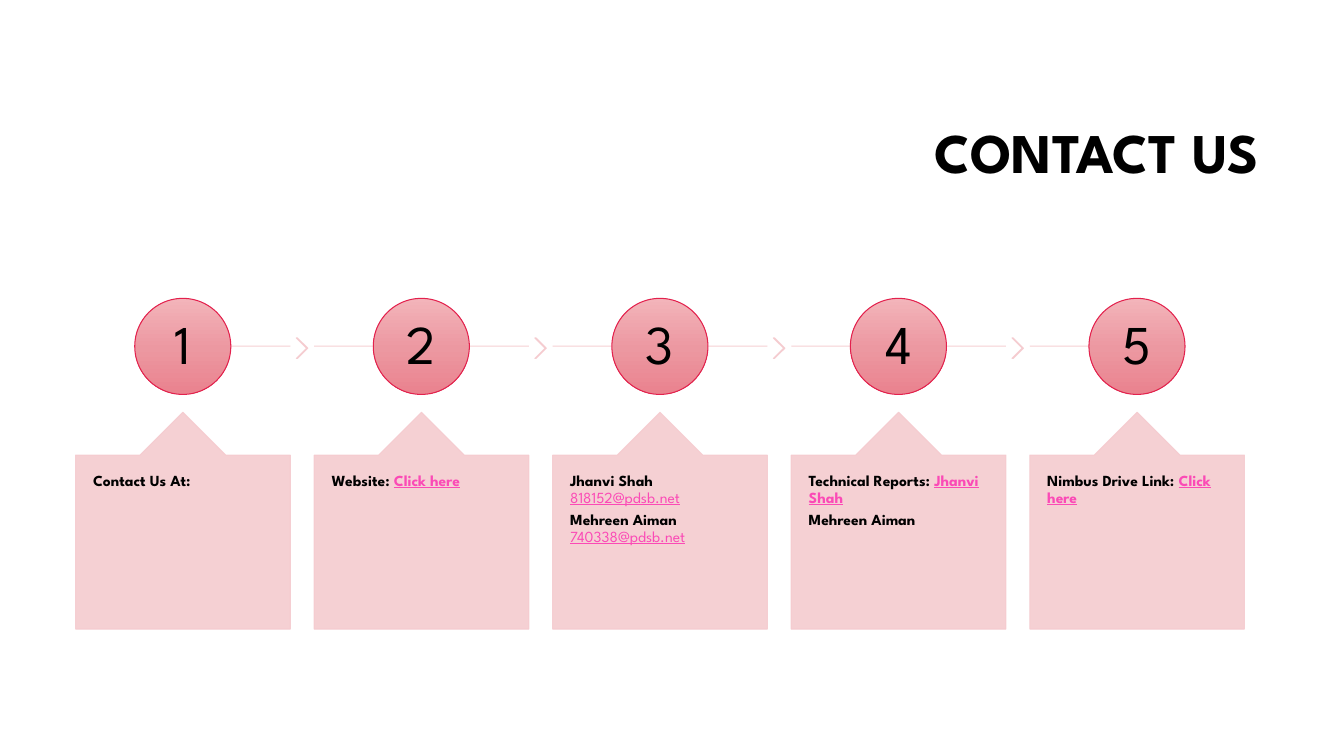
from copy import deepcopy
from dataclasses import dataclass

from lxml.etree import SubElement
from pptx import Presentation
from pptx.dml.color import RGBColor
from pptx.enum.shapes import MSO_CONNECTOR, MSO_SHAPE
from pptx.enum.text import MSO_ANCHOR, PP_ALIGN
from pptx.oxml.ns import qn
from pptx.shapes.autoshape import Shape
from pptx.slide import Slide
from pptx.text.text import TextFrame, _Paragraph
from pptx.util import Emu, Pt

PX = 3048  # 300 px to the inch
FONT = "League Spartan"
COLORS = {"text": "000000", "link": "FB4AB6", "blush": "F5CBCF", "ring": "E3214D"}
CIRCLE_GRADIENT = [(0, "F3B4BA"), (0.52, "EC98A1"), (1, "EA828E")]
BLUSH_ALPHA = "90000"

FIRST_CARD_LEFT, CARD_PITCH = 225, 710
CARD_TOP, CARD_WIDTH, CARD_HEIGHT = 1227, 639, 645
CIRCLE_TOP, CIRCLE_SIZE = 888, 286
TRACK_Y = 1030
FIRST_TRACK_INDENT = 354
CHEVRON_GAP, CHEVRON_TOP, CHEVRON_WIDTH, CHEVRON_HEIGHT = 18, 1006, 34, 61


@dataclass(frozen=True)
class Span:
    text: str
    link: bool = False
    bold: bool = True


@dataclass(frozen=True)
class Step:
    number: int
    lines: list[list[Span]]


STEPS = [
    Step(1, [[Span("Contact Us At:")]]),
    Step(2, [[Span("Website: "), Span("Click here", link=True)]]),
    Step(3, [
        [Span("Jhanvi Shah "), Span("818152@pdsb.net", link=True, bold=False)],
        [Span("Mehreen Aiman "), Span("740338@pdsb.net", link=True, bold=False)],
    ]),
    Step(4, [
        [Span("Technical Reports: "), Span("Jhanvi Shah", link=True)],
        [Span("Mehreen Aiman")],
    ]),
    Step(5, [[Span("Nimbus Drive Link: "), Span("Click here", link=True)]]),
]


def px(length: int) -> Emu:
    return Emu(length * PX)


def rgb(name: str) -> RGBColor:
    return RGBColor.from_string(COLORS[name])


def style_paragraph(paragraph: _Paragraph, size: int, align: PP_ALIGN, bold: bool) -> None:
    paragraph.alignment = align
    paragraph.line_spacing = 0.9
    font = paragraph.font
    font.name, font.size, font.bold = FONT, Pt(size), bold
    font.color.rgb = rgb("text")


def set_insets(frame: TextFrame, horizontal: int, vertical: int) -> None:
    frame.margin_left = frame.margin_right = px(horizontal)
    frame.margin_top = frame.margin_bottom = px(vertical)


def add_outlined(slide: Slide, kind: MSO_SHAPE, left: int, top: int,
                 width: int, height: int, outline: str) -> Shape:
    shape = slide.shapes.add_shape(kind, px(left), px(top), px(width), px(height))
    shape.shadow.inherit = False
    shape.line.color.rgb = rgb(outline)
    shape.line.width = Pt(0.75)
    return shape


def make_translucent(element) -> None:
    for color in element.spPr.iter(qn("a:srgbClr")):
        SubElement(color, qn("a:alpha"), val=BLUSH_ALPHA)


def add_blush(slide: Slide, kind: MSO_SHAPE, left: int, top: int,
              width: int, height: int) -> Shape:
    shape = add_outlined(slide, kind, left, top, width, height, "blush")
    shape.fill.solid()
    shape.fill.fore_color.rgb = rgb("blush")
    make_translucent(shape.element)
    return shape


def add_track(slide: Slide, start: int, end: int) -> None:
    track = slide.shapes.add_connector(
        MSO_CONNECTOR.STRAIGHT, px(start), px(TRACK_Y), px(end), px(TRACK_Y))
    track.line.color.rgb = rgb("blush")
    track.line.width = Pt(0.75)
    make_translucent(track.element)
    SubElement(track.element.spPr, qn("a:effectLst"))


def add_circle(slide: Slide, center: int, number: int) -> None:
    circle = add_outlined(slide, MSO_SHAPE.OVAL, center - CIRCLE_SIZE // 2, CIRCLE_TOP,
                          CIRCLE_SIZE, CIRCLE_SIZE, "ring")
    circle.fill.gradient()
    circle.fill.gradient_angle = 270
    stop_list = circle.element.spPr.find(".//" + qn("a:gsLst"))
    stop_list.insert(1, deepcopy(stop_list[0]))
    for stop, (position, color) in zip(circle.fill.gradient_stops, CIRCLE_GRADIENT):
        stop.position = position
        stop.color.rgb = RGBColor.from_string(color)

    frame = circle.text_frame
    frame.vertical_anchor = MSO_ANCHOR.MIDDLE
    set_insets(frame, 12, 12)
    frame.text = str(number)
    style_paragraph(frame.paragraphs[0], 39, PP_ALIGN.CENTER, bold=False)


def add_card(slide: Slide, left: int, lines: list[list[Span]]) -> None:
    card = add_blush(slide, MSO_SHAPE.UP_ARROW_CALLOUT, left, CARD_TOP,
                     CARD_WIDTH, CARD_HEIGHT)
    for index, value in enumerate((0.5, 0.2, 0.2, 1)):
        card.adjustments[index] = value
    frame = card.text_frame
    frame.word_wrap = True
    frame.vertical_anchor = MSO_ANCHOR.TOP
    set_insets(frame, 52, 54)
    for index, spans in enumerate(lines):
        paragraph = frame.add_paragraph() if index else frame.paragraphs[0]
        if index:
            paragraph.space_before = Pt(3.9)
        style_paragraph(paragraph, 11, PP_ALIGN.LEFT, bold=True)
        for span in spans:
            run = paragraph.add_run()
            run.text = span.text
            if span.link:
                run.font.color.rgb = rgb("link")
                run.font.underline = True
            if not span.bold:
                run.font.bold = False


def add_step(slide: Slide, index: int, step: Step) -> None:
    left = FIRST_CARD_LEFT + index * CARD_PITCH
    right = left + CARD_WIDTH
    center = left + CARD_WIDTH // 2
    is_last = index == len(STEPS) - 1

    add_track(slide, left if index else left + FIRST_TRACK_INDENT,
              center if is_last else right)
    if not is_last:
        chevron = add_blush(slide, MSO_SHAPE.CHEVRON, right + CHEVRON_GAP, CHEVRON_TOP,
                            CHEVRON_WIDTH, CHEVRON_HEIGHT)
        chevron.adjustments[0] = 0.9
    add_circle(slide, center, step.number)
    add_card(slide, left, step.lines)


def add_title(slide: Slide) -> None:
    title = slide.shapes.title
    title.left, title.top, title.width, title.height = map(px, (951, 252, 2826, 423))
    frame = title.text_frame
    frame.text = "CONTACT US"
    frame.vertical_anchor = MSO_ANCHOR.MIDDLE
    set_insets(frame, 30, 15)
    style_paragraph(frame.paragraphs[0], 40, PP_ALIGN.RIGHT, bold=True)


def main() -> None:
    presentation = Presentation()
    presentation.slide_width, presentation.slide_height = px(4000), px(2250)
    slide = presentation.slides.add_slide(presentation.slide_layouts[5])
    add_title(slide)
    for index, step in enumerate(STEPS):
        add_step(slide, index, step)
    presentation.save("out.pptx")


if __name__ == "__main__":
    main()
